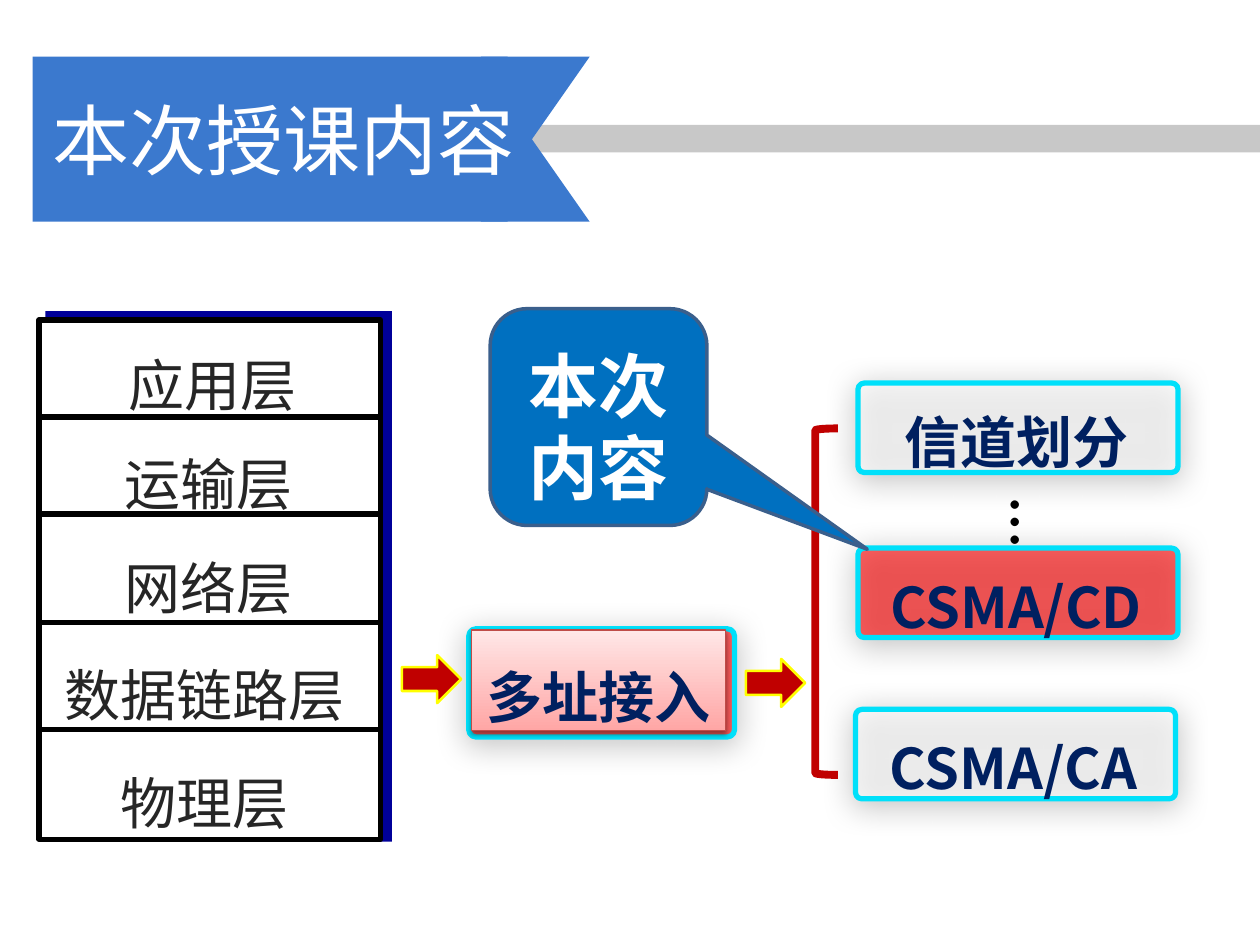
from lxml import etree
from pptx import Presentation
from pptx.dml.color import RGBColor
from pptx.enum.shapes import MSO_CONNECTOR, MSO_SHAPE
from pptx.enum.text import MSO_ANCHOR, PP_ALIGN
from pptx.oxml.ns import qn
from pptx.util import Inches, Pt

RECTANGLE = MSO_SHAPE.RECTANGLE
ROUNDED = MSO_SHAPE.ROUNDED_RECTANGLE
CHEVRON = MSO_SHAPE.CHEVRON
RIGHT_ARROW = MSO_SHAPE.RIGHT_ARROW
LEFT_BRACKET = MSO_SHAPE.LEFT_BRACKET
CALLOUT = MSO_SHAPE.ROUNDED_RECTANGULAR_CALLOUT
STRAIGHT = MSO_CONNECTOR.STRAIGHT
MIDDLE, TOP = MSO_ANCHOR.MIDDLE, MSO_ANCHOR.TOP
CENTER, LEFT = PP_ALIGN.CENTER, PP_ALIGN.LEFT

WHITE = RGBColor(0xFF, 0xFF, 0xFF)
BLACK = RGBColor(0, 0, 0)
GREY = RGBColor(0xC8, 0xC8, 0xC8)
BANNER_BLUE = RGBColor(0x3B, 0x79, 0xCE)
STACK_BLUE = RGBColor(0, 0, 0x99)
TEXT_GREY = RGBColor(0x26, 0x26, 0x26)
NAVY = RGBColor(0, 0x20, 0x60)
CYAN = RGBColor(0, 0xE0, 0xFA)
RED = RGBColor(0xFF, 0, 0)
DARK_RED = RGBColor(0xC0, 0, 0)
YELLOW = RGBColor(0xFF, 0xFF, 0)
PINK = RGBColor(0xFF, 0xA6, 0xA5)
PALE_PINK = RGBColor(0xFF, 0xE7, 0xE7)
PINK_EDGE = RGBColor(0xBF, 0x4C, 0x48)
CALLOUT_BLUE = RGBColor(0, 0x70, 0xC0)
CALLOUT_EDGE = RGBColor(0x3A, 0x5F, 0x8C)
FONT = "Noto Sans CJK SC"


def add_shape(slide, kind, box, fill=None, line=None, width=1):
    shape = slide.shapes.add_shape(kind, *map(Inches, box))
    shape.shadow.inherit = False
    if fill is None:
        shape.fill.background()
    else:
        shape.fill.solid()
        shape.fill.fore_color.rgb = fill
    if line is None:
        shape.line.fill.background()
    else:
        shape.line.color.rgb = line
        shape.line.width = Pt(width)
    return shape


def add_shadow(shape, opacity, blur, distance):
    effects = shape._element.spPr.find(qn("a:effectLst"))
    shadow = etree.SubElement(
        effects, qn("a:outerShdw"), blurRad=str(Pt(blur)), dist=str(Pt(distance)),
        dir="5400000", algn="ctr", rotWithShape="0")
    color = etree.SubElement(shadow, qn("a:srgbClr"), val="000000")
    etree.SubElement(color, qn("a:alpha"), val=str(opacity * 1000))


def write_text(shape, text, size=32, color=NAVY, bold=False, font=FONT,
               spacing=None, align=CENTER, anchor=MIDDLE, margin=0, top=0):
    frame = shape.text_frame
    frame.word_wrap = True
    frame.vertical_anchor = anchor
    frame.margin_left = frame.margin_right = Inches(margin)
    frame.margin_top, frame.margin_bottom = Inches(top), 0
    paragraph = frame.paragraphs[0]
    paragraph.alignment = align
    if spacing:
        paragraph.line_spacing = Pt(spacing)
    run = paragraph.add_run()
    run.text = text
    run.font.size = Pt(size)
    run.font.bold = bold
    run.font.color.rgb = color
    run.font.name = font
    east_asian = etree.SubElement(run.font._element, qn("a:ea"))
    east_asian.set("typeface", font)


def add_text(slide, box, text, **style):
    text_box = slide.shapes.add_textbox(*map(Inches, box))
    write_text(text_box, text, **style)
    return text_box


def add_banner(slide, left, top, height):
    add_shape(slide, RECTANGLE, (left + 0.57, top + 0.54, 9.17, 0.22), GREY)
    tail = add_shape(slide, CHEVRON, (left + 3.1, top, 1.32, height), BANNER_BLUE)
    tail.rotation = 180
    tail.adjustments[0] = 0.35
    add_shape(slide, RECTANGLE, (left, top, 3.77, height), BANNER_BLUE)
    add_text(slide, (left + 0.02, top + 0.24, 3.94, 0.82), "本次授课内容",
             size=44, color=WHITE)


def add_layer_stack(slide, left, top, width, height):
    add_shape(slide, RECTANGLE, (left + 0.05, top - 0.07, width + 0.04, height + 0.09),
              STACK_BLUE)
    add_shape(slide, RECTANGLE, (left, top, width, height), WHITE, BLACK, 3)
    for y in (3.31, 4.08, 4.94, 5.79):
        divider = slide.shapes.add_connector(
            STRAIGHT, Inches(left), Inches(y), Inches(left + width), Inches(y))
        divider.line.color.rgb = BLACK
        divider.line.width = Pt(3)
        etree.SubElement(divider._element.spPr, qn("a:effectLst"))
    # Layer name, centre and top of its text
    layers = (("应用层", 1.68, 2.41), ("运输层", 1.65, 3.2), ("网络层", 1.65, 4.02),
              ("数据链路层", 1.62, 4.87), ("物理层", 1.62, 5.73))
    for name, center, text_top in layers:
        add_text(slide, (center - 1.38, text_top, 2.77, 0.92), name,
                 color=TEXT_GREY, spacing=64)


def add_card(slide, box, fill):
    card = add_shape(slide, ROUNDED, box, fill, CYAN, 3)
    card.adjustments[0] = 0.07
    color = card._element.spPr.find(qn("a:solidFill"))[0]
    etree.SubElement(color, qn("a:alpha"), val="60000")
    add_shadow(card, 33, 17.8, 3)


def add_method(slide, left, top, name, fill):
    add_card(slide, (left, top, 2.54, 0.71), fill)
    add_text(slide, (left + 0.04, top - 0.06, 2.43, 0.8), name, bold=True, spacing=56)


def add_multiple_access(slide, left, top, width, height):
    add_card(slide, (left, top, width, height), RED)
    panel = add_shape(slide, RECTANGLE, (left + 0.02, top + 0.01, 2.02, 0.8),
                      PINK, PINK_EDGE, 0.75)
    panel.fill.gradient()
    panel.fill.gradient_angle = 90
    for stop, color in zip(panel.fill.gradient_stops, (PINK, PALE_PINK)):
        stop.color.rgb = color
    add_shadow(panel, 38, 3.1, 1.6)
    write_text(panel, "多址接入", bold=True, spacing=56)


def add_callout(slide, box):
    callout = add_shape(slide, CALLOUT, box, CALLOUT_BLUE, CALLOUT_EDGE, 2)
    for index, value in enumerate((1.24, 0.61, 0.17)):
        callout.adjustments[index] = value
    write_text(callout, "本次内容", size=40, color=WHITE, bold=True,
               spacing=47, margin=0.1, top=0.15)


def main():
    presentation = Presentation()
    presentation.slide_width, presentation.slide_height = Inches(10), Inches(7.5)
    slide = presentation.slides.add_slide(presentation.slide_layouts[6])

    add_banner(slide, 0.26, 0.45, 1.31)
    add_layer_stack(slide, 0.31, 2.54, 2.71, 4.12)
    add_multiple_access(slide, 3.72, 4.99, 2.11, 0.86)

    # Flow arrows
    for left, top in ((3.19, 5.2), (5.92, 5.23)):
        add_shape(slide, RIGHT_ARROW, (left, top, 0.47, 0.38), DARK_RED, YELLOW, 1.5)

    # Access methods and their bracket
    for left, top, name, fill in ((6.81, 3.04, "信道划分", WHITE),
                                  (6.79, 5.63, "CSMA/CA", WHITE),
                                  (6.81, 4.35, "CSMA/CD", RED)):
        add_method(slide, left, top, name, fill)
    add_shape(slide, LEFT_BRACKET, (6.47, 3.4, 0.18, 2.75), line=DARK_RED, width=4.5)
    add_callout(slide, (3.89, 2.45, 1.72, 1.72))

    # Vertical ellipsis between methods
    dots = add_text(slide, (7.75, 3.86, 0.88, 0.6), "…", size=40, color=BLACK,
                    font="Calibri", align=LEFT, anchor=TOP, margin=0.1, top=0.05)
    dots.text_frame._txBody.bodyPr.set("vert", "eaVert")

    presentation.save("out.pptx")


if __name__ == "__main__":
    main()
